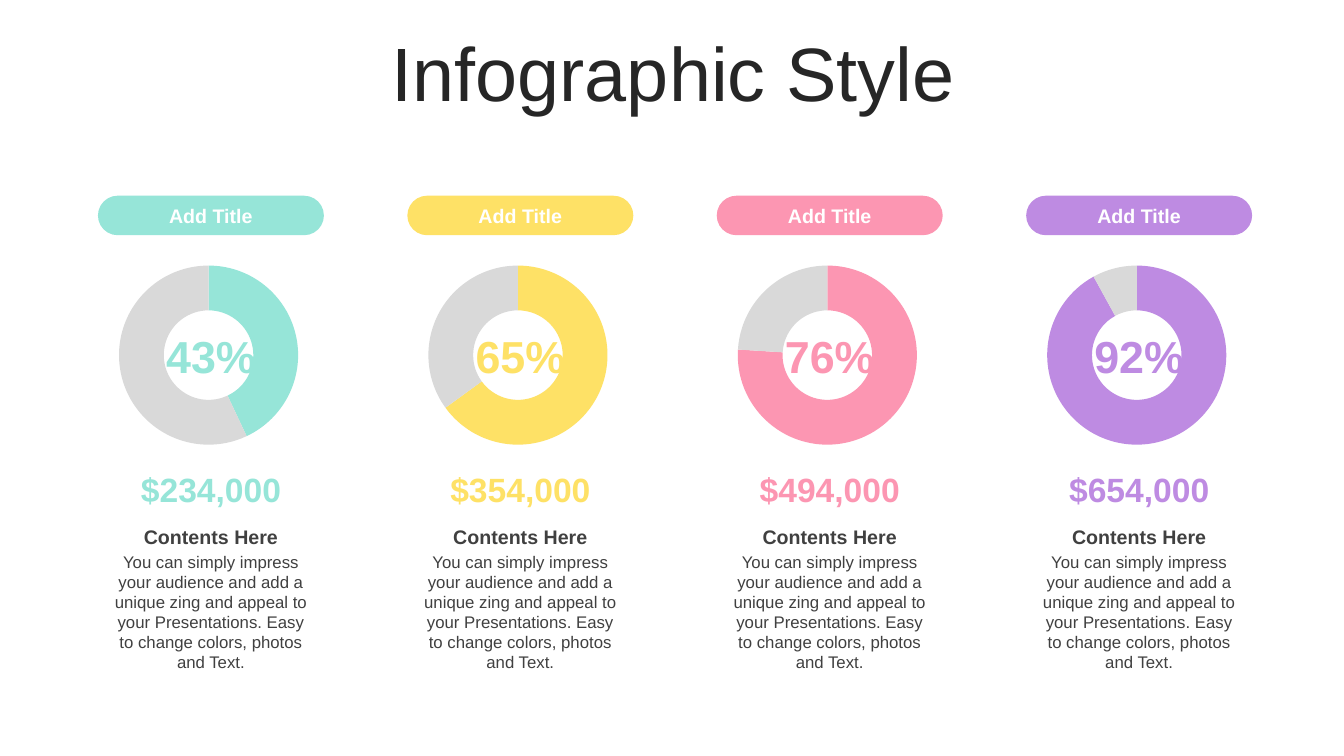
import pptx
import pptx.chart.data
import pptx.dml.color
import pptx.enum.chart
import pptx.enum.shapes
import pptx.enum.text
import pptx.oxml
import pptx.oxml.ns
import pptx.util

Pt = pptx.util.Pt
RGBColor = pptx.dml.color.RGBColor
MIDDLE = pptx.enum.text.MSO_ANCHOR.MIDDLE
TOP = pptx.enum.text.MSO_ANCHOR.TOP

THEME = {
    "font": "Arial",
    "title": {"size": 54, "bold": False, "color": "262626"},
    "pill": {"size": 14, "bold": True, "color": "FFFFFF"},
    "percent": {"size": 32, "bold": True},
    "amount": {"size": 24, "bold": True},
    "heading": {"size": 14, "bold": True, "color": "404040"},
    "body": {"size": 12, "bold": False, "color": "404040"},
    "chart_size": 18,
    "chart_color": "000000",
    "remainder": "D9D9D9",
}

BODY_TEXT = ("You can simply impress your audience and add a unique zing and appeal "
             "to your Presentations. Easy to change colors, photos and Text.")
COLUMNS = [
    (43, "$234,000", "96E5D8"),
    (65, "$354,000", "FEE166"),
    (76, "$494,000", "FC96B2"),
    (92, "$654,000", "BE8BE2"),
]
FIRST_CENTER = 150.7
COLUMN_PITCH = 221

PLOT_LAYOUT = (
    f'<c:layout {pptx.oxml.ns.nsdecls("c")}><c:manualLayout>'
    '<c:layoutTarget val="inner"/><c:xMode val="edge"/><c:yMode val="edge"/>'
    '<c:x val="0.026"/><c:y val="0.019"/><c:w val="0.924"/><c:h val="0.966"/>'
    '</c:manualLayout></c:layout>'
)


def write_text(shape, text, style, anchor, color=None):
    frame = shape.text_frame
    paragraph = frame.paragraphs[0]
    paragraph.text = text
    paragraph.alignment = pptx.enum.text.PP_ALIGN.CENTER
    for name, value in {"word_wrap": True, "vertical_anchor": anchor}.items():
        setattr(frame, name, value)
    font = paragraph.runs[0].font
    formats = {"name": THEME["font"], "size": Pt(style["size"]), "bold": style["bold"]}
    for name, value in formats.items():
        setattr(font, name, value)
    font.color.rgb = RGBColor.from_string(color or style["color"])
    return paragraph


def centered_box(center, top, width, height):
    return [Pt(value) for value in (center - width / 2, top, width, height)]


presentation = pptx.Presentation()
presentation.slide_width = Pt(960)
presentation.slide_height = Pt(540)
slide = presentation.slides.add_slide(presentation.slide_layouts[6])
shapes = slide.shapes

# Slide title
title = shapes.add_textbox(*centered_box(481, 26.6, 911.5, 57))
title_paragraph = write_text(title, "Infographic Style", THEME["title"], MIDDLE)
title_paragraph.line_spacing = 0.9

for index, (percent, amount, color) in enumerate(COLUMNS):
    center = FIRST_CENTER + index * COLUMN_PITCH

    # Pill with the column title
    pill = shapes.add_shape(pptx.enum.shapes.MSO_SHAPE.ROUNDED_RECTANGLE,
                            *centered_box(center, 139.8, 161.4, 28.2))
    pill.adjustments[0] = 0.5
    pill.shadow.inherit = False
    pill.fill.solid()
    pill.fill.fore_color.rgb = RGBColor.from_string(color)
    pill.line.fill.background()
    write_text(pill, "Add Title", THEME["pill"], MIDDLE)

    # Doughnut chart
    data = pptx.chart.data.CategoryChartData()
    data.categories = ["1", "2"]
    data.add_series("Series 1", (percent, 100 - percent))
    chart = shapes.add_chart(pptx.enum.chart.XL_CHART_TYPE.DOUGHNUT,
                             *centered_box(center, 187.2, 141.1, 132.5), data).chart
    for name, value in {"has_legend": False, "has_title": False}.items():
        setattr(chart, name, value)
    for name, value in {"name": THEME["font"], "size": Pt(THEME["chart_size"])}.items():
        setattr(chart.font, name, value)
    chart.font.color.rgb = RGBColor.from_string(THEME["chart_color"])
    plot = chart.plots[0]
    plot.vary_by_categories = True
    for point_index, point_color in enumerate((color, THEME["remainder"])):
        point_format = plot.series[0].points[point_index].format
        point_format.fill.solid()
        point_format.fill.fore_color.rgb = RGBColor.from_string(point_color)
        point_format.line.fill.background()

    # Hole size and plot position
    plot_area = chart.element.find(".//" + pptx.oxml.ns.qn("c:plotArea"))
    for layout in plot_area.findall(pptx.oxml.ns.qn("c:layout")):
        plot_area.remove(layout)
    plot_area.insert(0, pptx.oxml.parse_xml(PLOT_LAYOUT))
    plot_area.find(".//" + pptx.oxml.ns.qn("c:holeSize")).set("val", "80")

    # Percentage, amount, heading and body text
    for text, style_name, top, width, height, anchor, text_color in (
        (f"{percent}%", "percent", 231.1, 95, 46, MIDDLE, color),
        (amount, "amount", 331.2, 123.8, 36, TOP, color),
        ("Contents Here", "heading", 371.5, 153.4, 24.5, TOP, None),
        (BODY_TEXT, "body", 390.2, 153.4, 94.3, TOP, None),
    ):
        text_box = shapes.add_textbox(*centered_box(center, top, width, height))
        write_text(text_box, text, THEME[style_name], anchor, text_color)

presentation.save("out.pptx")
